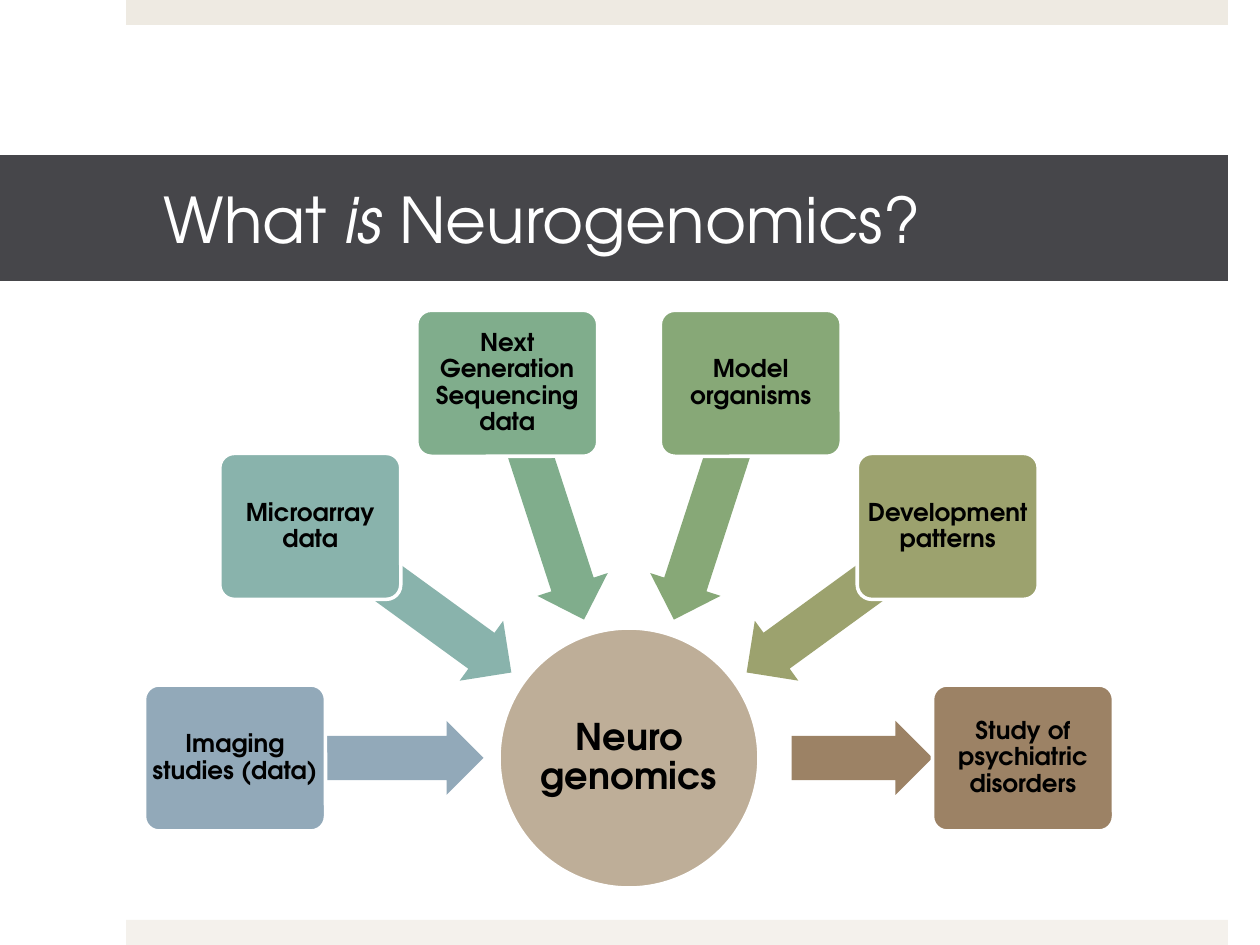
from math import cos, radians, sin

from pptx import Presentation
from pptx.dml.color import RGBColor
from pptx.enum.shapes import MSO_SHAPE as Shape
from pptx.enum.text import MSO_ANCHOR as Anchor, MSO_AUTO_SIZE as AutoSize, PP_ALIGN as Align
from pptx.util import Emu, Pt

FONT = "TeX Gyre Adventor"
WHITE = RGBColor(0xFF, 0xFF, 0xFF)
BLACK = RGBColor(0x00, 0x00, 0x00)
TITLE_FILL = RGBColor(0x46, 0x46, 0x4A)
HUB_FILL = RGBColor(0xBE, 0xAE, 0x98)

TITLE = [("What ", False), ("is ", True), ("Neurogenomics?", False)]
BANDS = [  # top, colour
    (0, RGBColor(0xEE, 0xEA, 0xE2)),
    (920, RGBColor(0xF4, 0xF1, 0xEC)),
]
HUB_TEXT = "Neuro genomics"
INPUT_ARROW = (270, 249)  # distance from the hub centre, length
OUTPUT_ARROW = (233, 141)
TOPICS = [  # clockwise from the left of the hub
    ("Imaging studies (data)", RGBColor(0x92, 0xA9, 0xB9), INPUT_ARROW),
    ("Microarray data", RGBColor(0x89, 0xB3, 0xAC), INPUT_ARROW),
    ("Next Generation Sequencing data", RGBColor(0x80, 0xAD, 0x8C), INPUT_ARROW),
    ("Model organisms", RGBColor(0x87, 0xA8, 0x77), INPUT_ARROW),
    ("Development patterns", RGBColor(0x9C, 0xA2, 0x6E), INPUT_ARROW),
    ("Study of psychiatric disorders", RGBColor(0x9C, 0x82, 0x65), OUTPUT_ARROW),
]

HUB_X, HUB_Y, HUB_SIZE = 629, 758, 260
BOX_DISTANCE, BOX_WIDTH, BOX_HEIGHT = 394, 181, 146
ARROW_HEIGHT = 74
START_ANGLE, ANGLE_STEP = 180, 36


def px(value):
    return Emu(round(value * 914400 / 126))


def add_shape(slide, kind, left, top, width, height, fill, outlined=False):
    shape = slide.shapes.add_shape(kind, px(left), px(top), px(width), px(height))
    shape.shadow.inherit = False
    shape.fill.solid()
    shape.fill.fore_color.rgb = fill
    if outlined:
        shape.line.color.rgb = WHITE
        shape.line.width = Pt(2)
    else:
        shape.line.fill.background()
    return shape


def add_around_hub(slide, kind, angle, distance, width, height, fill, outlined=False):
    """Centre a shape at a clockwise angle and a distance from the hub."""
    x = HUB_X + distance * cos(radians(angle))
    y = HUB_Y + distance * sin(radians(angle))
    return add_shape(slide, kind, x - width / 2, y - height / 2, width, height, fill, outlined)


def set_margins(frame, left, top, right, bottom):
    frame.margin_left, frame.margin_top = px(left), px(top)
    frame.margin_right, frame.margin_bottom = px(right), px(bottom)


def add_label(shape, text, size, margin):
    frame = shape.text_frame
    frame.text = text
    frame.word_wrap = True
    frame.vertical_anchor = Anchor.MIDDLE
    set_margins(frame, margin, margin, margin, margin)
    paragraph = frame.paragraphs[0]
    paragraph.alignment = Align.CENTER
    paragraph.line_spacing = 0.9
    font = paragraph.runs[0].font
    font.name, font.size, font.bold = FONT, Pt(size), True
    font.color.rgb = BLACK


def format_title(title):
    title.left, title.top, title.width, title.height = px(0), px(155), px(1228), px(126)
    title.fill.solid()
    title.fill.fore_color.rgb = TITLE_FILL
    frame = title.text_frame
    frame.word_wrap = True
    frame.auto_size = AutoSize.NONE
    frame.vertical_anchor = Anchor.MIDDLE
    set_margins(frame, 164, 6, 38, 6)
    paragraph = frame.paragraphs[0]
    paragraph.alignment = Align.LEFT
    for text, italic in TITLE:
        run = paragraph.add_run()
        run.text = text
        run.font.name, run.font.size, run.font.italic = FONT, Pt(36), italic
        run.font.color.rgb = WHITE


def main():
    presentation = Presentation()
    presentation.slide_width, presentation.slide_height = px(1260), px(945)
    slide = presentation.slides.add_slide(presentation.slide_layouts[5])
    format_title(slide.shapes.title)
    for top, fill in BANDS:
        add_shape(slide, Shape.RECTANGLE, 126, top, 1102, 25, fill)

    hub = add_around_hub(slide, Shape.OVAL, 0, 0, HUB_SIZE, HUB_SIZE, HUB_FILL, outlined=True)
    add_label(hub, HUB_TEXT, 21, 1)

    for index, (text, fill, (distance, length)) in enumerate(TOPICS):
        angle = START_ANGLE + index * ANGLE_STEP
        arrow = add_around_hub(slide, Shape.LEFT_ARROW, angle, distance, length, ARROW_HEIGHT, fill)
        arrow.adjustments[0], arrow.adjustments[1] = 0.6, 0.5
        # Inputs point at the hub; the output on the right points away from it.
        arrow.rotation = 180 if distance == OUTPUT_ARROW[0] else angle
        box = add_around_hub(slide, Shape.ROUNDED_RECTANGLE, angle, BOX_DISTANCE,
                             BOX_WIDTH, BOX_HEIGHT, fill, outlined=True)
        box.adjustments[0] = 0.1
        add_label(box, text, 14, 3)

    presentation.save("out.pptx")


if __name__ == "__main__":
    main()
